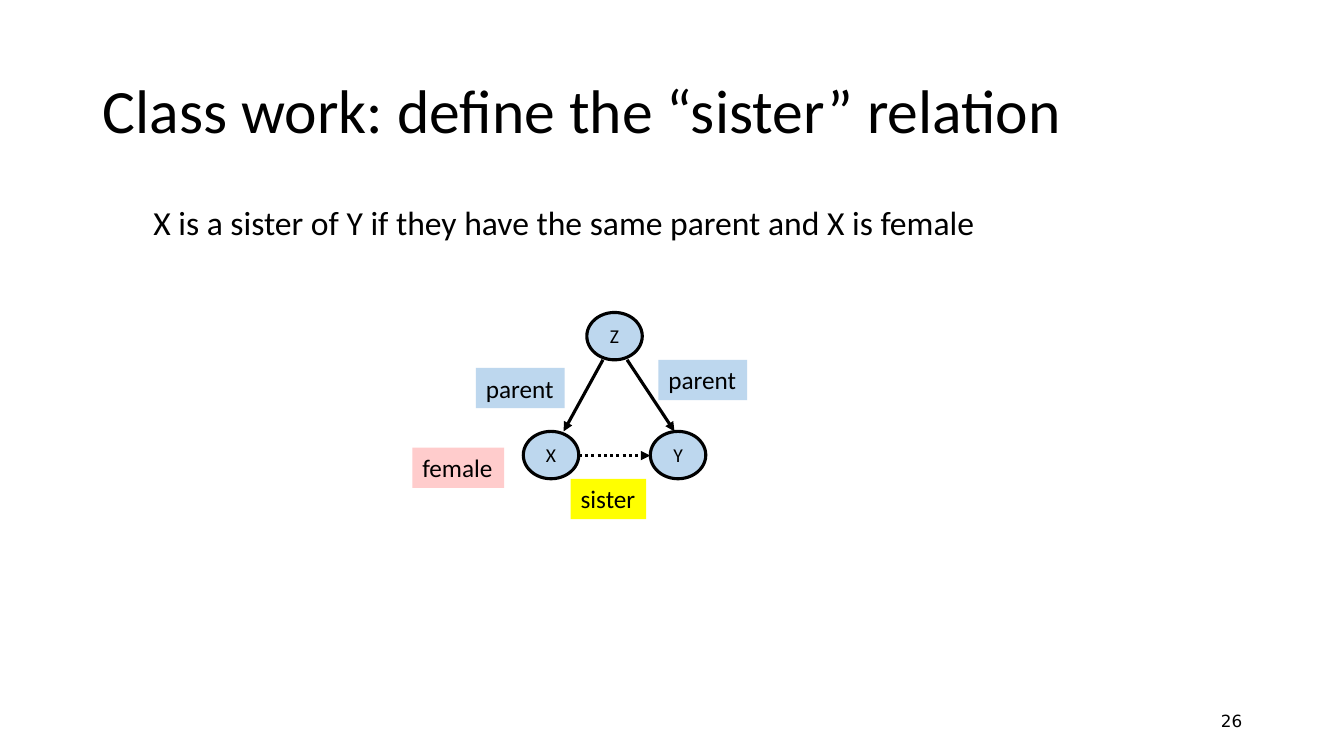
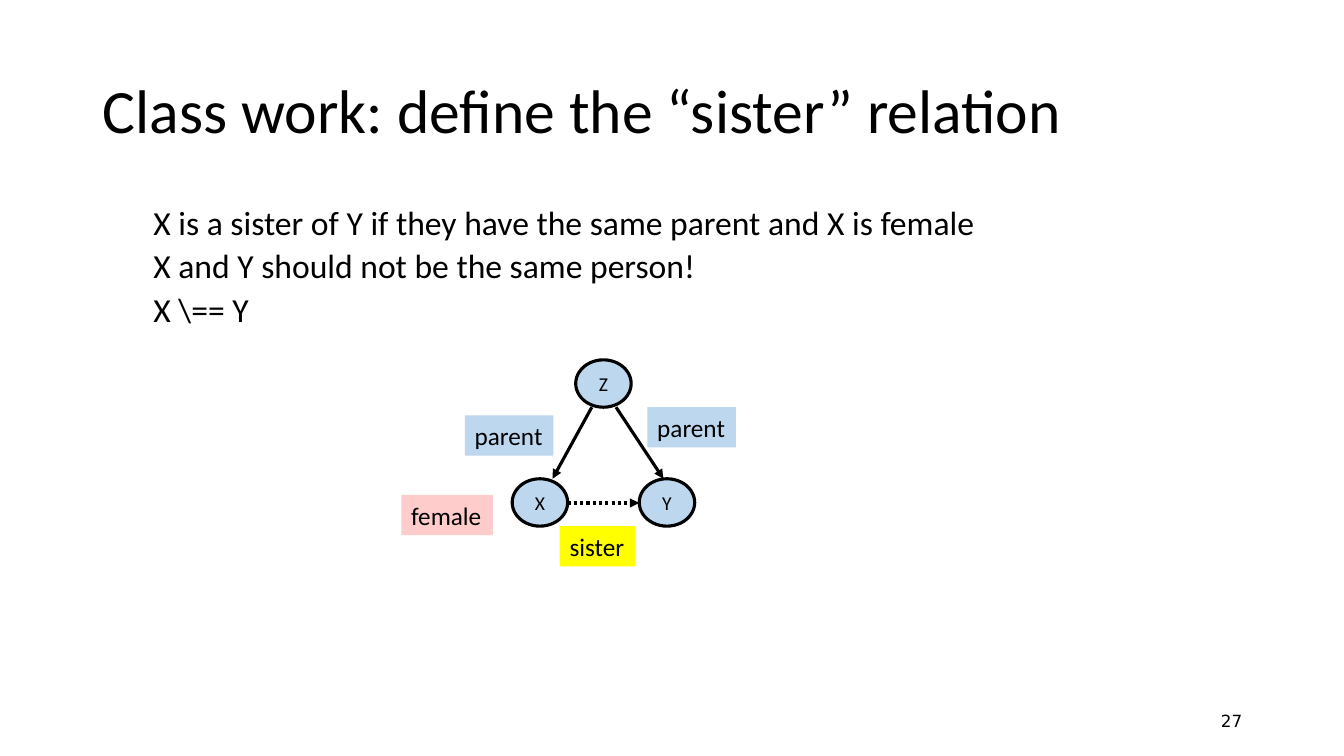
from pptx import Presentation
from pptx.dml.color import RGBColor
from pptx.enum.dml import MSO_LINE
from pptx.enum.shapes import MSO_CONNECTOR, MSO_SHAPE
from pptx.enum.text import MSO_ANCHOR, MSO_AUTO_SIZE, PP_ALIGN
from pptx.oxml.ns import qn
from pptx.util import Inches, Pt
from lxml.etree import SubElement

BLACK, BLUE, PINK, YELLOW = "000000", "BDD7EE", "FFCCCC", "FFFF00"
TITLE = "Class work: define the “sister” relation"
RULES = [
    "X is a sister of Y if they have the same parent and X is female",
    "X and Y should not be the same person!",
    "X \\== Y",
]
PAGES = [(26, RULES[:1], (4.09, 3.1)), (27, RULES, (3.98, 3.57))]
NODE_W, NODE_H = 0.55, 0.47
NODES = [("Z", 1.73, 0), ("X", 1.1, 1.18), ("Y", 2.36, 1.18)]
LABELS = [
    ("parent", 2.44, 0.47, 0.88, BLUE),
    ("parent", 0.63, 0.55, 0.88, BLUE),
    ("sister", 1.57, 1.65, 0.75, YELLOW),
    ("female", 0, 1.34, 0.91, PINK),
]
ARROWS = [
    (2.13, NODE_H, 2.6, 1.18, None),
    (1.89, NODE_H, 1.5, 1.18, None),
    (1.65, 1.42, 2.36, 1.42, MSO_LINE.ROUND_DOT),
]


def color(code):
    """Turn a hex string into a colour."""
    return RGBColor.from_string(code)


def place(shape, left, top, width, height):
    """Move and size a shape, in inches."""
    shape.left, shape.top = Inches(left), Inches(top)
    shape.width, shape.height = Inches(width), Inches(height)


def write(shape, *lines, size=18, font="Calibri", align=PP_ALIGN.LEFT,
          anchor=MSO_ANCHOR.TOP, wrap=True, fit=MSO_AUTO_SIZE.NONE,
          lead=None, before=0):
    """Fill a shape with one formatted paragraph for each line."""
    frame = shape.text_frame
    frame.text = "\n".join(lines)
    frame.word_wrap, frame.auto_size = wrap, fit
    frame.vertical_anchor = anchor
    for para in frame.paragraphs:
        para.alignment, para.space_before = align, Pt(before)
        if lead:
            para.line_spacing = lead
        for run in para.runs:
            run.font.size, run.font.name = Pt(size), font
            run.font.color.rgb = color(BLACK)


def indent(para):
    """Give a paragraph a hanging indent without a bullet."""
    para.level = 1
    props = para._p.get_or_add_pPr()
    props.set("marL", str(Inches(0.75)))
    props.set("indent", str(Inches(-0.25)))
    SubElement(props, qn("a:buNone"))


def block(group, kind, left, top, width, height, fill):
    """Add a filled shape without line or shadow."""
    shape = group.shapes.add_shape(
        kind, Inches(left), Inches(top), Inches(width), Inches(height))
    shape.shadow.inherit = False
    shape.fill.solid()
    shape.fill.fore_color.rgb = color(fill)
    shape.line.fill.background()
    return shape


def stroke(line):
    """Style a line as a black outline."""
    line.color.rgb = color(BLACK)
    line.width = Pt(2.25)


def arrow(group, left, top, right, low, dash):
    """Add an arrow between two points."""
    link = group.shapes.add_connector(
        MSO_CONNECTOR.STRAIGHT,
        Inches(left), Inches(top), Inches(right), Inches(low))
    stroke(link.line)
    if dash:
        link.line.dash_style = dash
    SubElement(link.line._get_or_add_ln(), qn("a:tailEnd"), type="triangle")
    SubElement(link._element.spPr, qn("a:effectLst"))


def family(slide, left, top):
    """Draw the family graph from its top left corner."""
    group = slide.shapes.add_group_shape()
    for x, y, right, low, dash in ARROWS:
        arrow(group, left + x, top + y, left + right, top + low, dash)
    for name, x, y in NODES:
        node = block(group, MSO_SHAPE.OVAL, left + x, top + y,
                     NODE_W, NODE_H, BLUE)
        stroke(node.line)
        write(node, name, size=14, align=PP_ALIGN.CENTER,
              anchor=MSO_ANCHOR.MIDDLE, wrap=False)
    for name, x, y, width, fill in LABELS:
        label = block(group, MSO_SHAPE.RECTANGLE, left + x, top + y,
                      width, 0.4, fill)
        write(label, name, wrap=False, fit=MSO_AUTO_SIZE.SHAPE_TO_FIT_TEXT)


def page(deck, number, rules, start):
    """Add one slide with title, rules, number and graph."""
    slide = deck.slides.add_slide(deck.slide_layouts[1])
    title, body = slide.placeholders
    place(title, 0.92, 0.4, 11.5, 1.45)
    write(title, TITLE, size=44, anchor=MSO_ANCHOR.MIDDLE, lead=0.9)
    place(body, 0.92, 2, 11.5, 4.76)
    write(body, *rules, size=24, lead=0.9, before=5)
    for para in body.text_frame.paragraphs:
        indent(para)
    foot = slide.shapes.add_textbox(
        Inches(9.42), Inches(6.95), Inches(3), Inches(0.4))
    write(foot, str(number), size=12, font="DejaVu Sans",
          align=PP_ALIGN.RIGHT, anchor=MSO_ANCHOR.MIDDLE)
    family(slide, *start)


def main():
    """Build and save the deck."""
    deck = Presentation()
    deck.slide_width, deck.slide_height = Inches(13.33), Inches(7.5)
    for number, rules, start in PAGES:
        page(deck, number, rules, start)
    deck.save("out.pptx")


if __name__ == "__main__":
    main()
